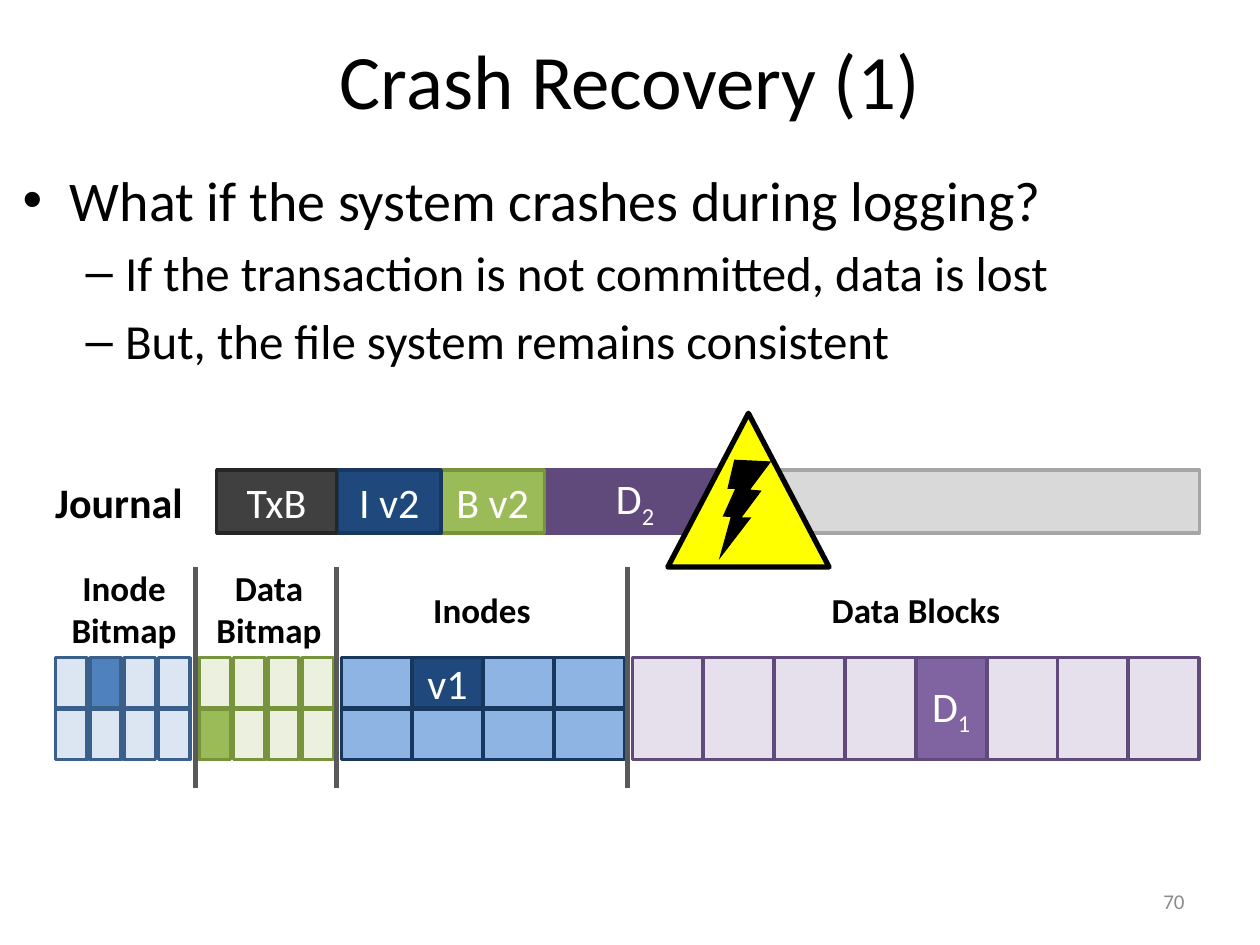
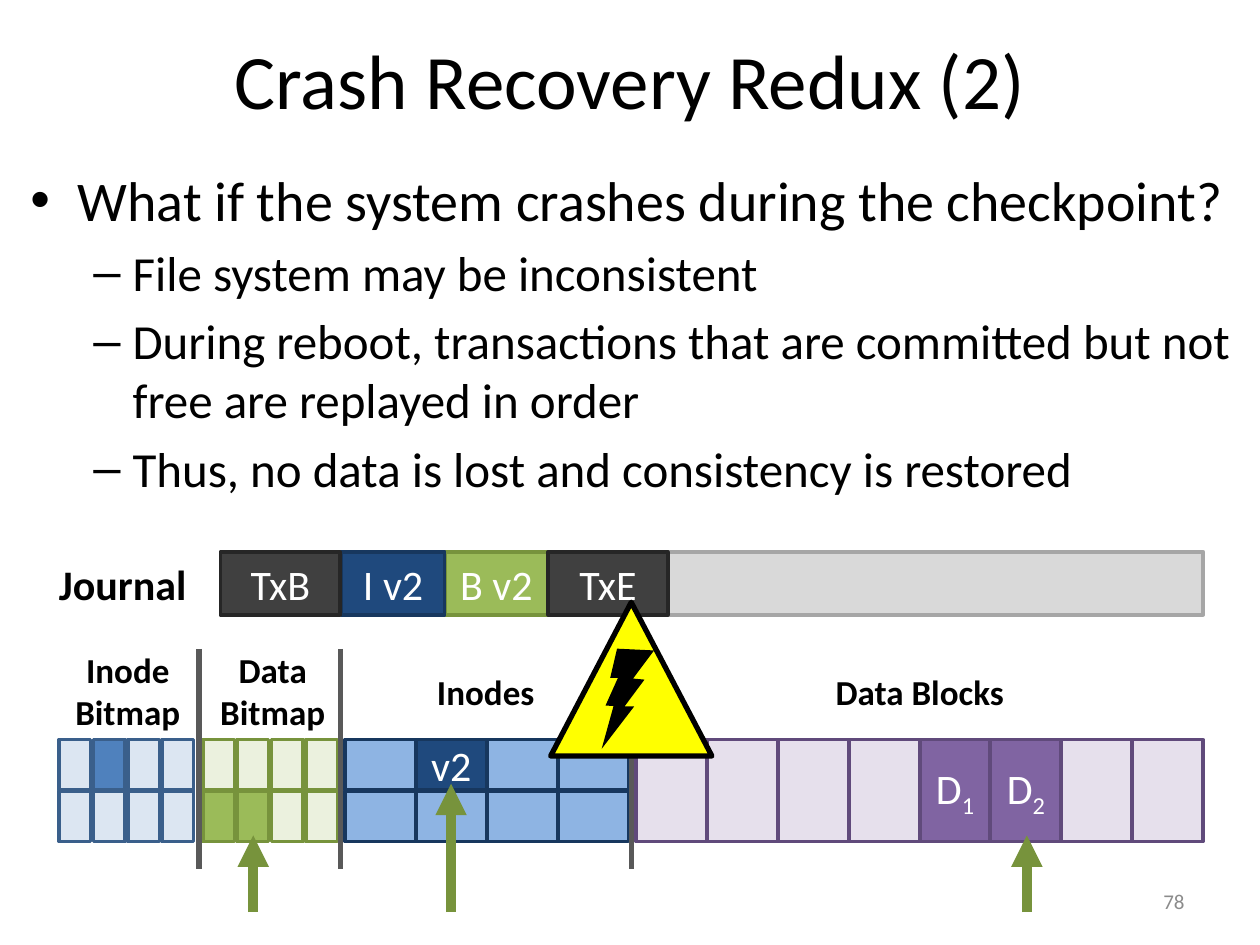
"""Build two slides on crash recovery in a journaling file system."""
import lxml.etree
import pptx
import pptx.dml.color
import pptx.enum.shapes
import pptx.enum.text
import pptx.oxml.ns
import pptx.util

Inches = pptx.util.Inches
Pt = pptx.util.Pt
rgb = pptx.dml.color.RGBColor.from_string
qn = pptx.oxml.ns.qn
SHAPE = pptx.enum.shapes.MSO_SHAPE
ALIGN = pptx.enum.text.PP_ALIGN
ANCHOR = pptx.enum.text.MSO_ANCHOR
AUTO_SIZE = pptx.enum.text.MSO_AUTO_SIZE

FONT = "Calibri"
BLACK, WHITE, GREY, DIVIDER = "000000", "FFFFFF", "8B8B8B", "595959"
BLUE_LINE, NAVY_LINE, GREEN_LINE, PURPLE_LINE = "3A5F8B", "17375E", "77933C", "604A7B"
NAVY, GREEN = "1F497D", "9BBB59"
DARK = ("404040", "262626")


def format_text(text_frame, size, color, align, bold=False):
    """Format every run of a text frame alike."""
    for paragraph in text_frame.paragraphs:
        paragraph.alignment = align
        for run in paragraph.runs:
            run.font.name = FONT
            run.font.size = Pt(size)
            run.font.bold = bold
            run.font.color.rgb = rgb(color)


def add_box(shapes, kind, place, fill, line=None, line_width=2, label=""):
    """Add a filled shape; the part of the label after _ is a subscript."""
    shape = shapes.add_shape(kind, *map(Inches, place))
    shape.shadow.inherit = False
    shape.fill.solid()
    shape.fill.fore_color.rgb = rgb(fill)
    if line:
        shape.line.color.rgb = rgb(line)
        shape.line.width = Pt(line_width)
    else:
        shape.line.fill.background()
    if label:
        text_frame = shape.text_frame
        text_frame.vertical_anchor = ANCHOR.MIDDLE
        base, _, subscript = label.partition("_")
        text_frame.text = base
        if subscript:
            text_frame.paragraphs[0].add_run().text = subscript
        format_text(text_frame, 24, WHITE, ALIGN.CENTER)
        for run in text_frame.paragraphs[0].runs[1:]:
            run.font._element.set("baseline", "-25000")
    return shape


# name: left, span, columns, rows, cell width, cell height, fill, used fill, line
regions = {
    "inode bitmap": (0.44, 1.09, 4, 2, 0.25, 0.4, "DCE6F2", "4F81BD", BLUE_LINE),
    "data bitmap": (1.58, 1.09, 4, 2, 0.25, 0.4, "EBF1DE", GREEN, GREEN_LINE),
    "inodes": (2.71, 2.25, 4, 2, 0.56, 0.4, "8EB4E3", NAVY, NAVY_LINE),
    "data blocks": (5.02, 4.5, 8, 1, 0.56, 0.81, "E6E0EC", "8064A2", PURPLE_LINE),
}
region_labels = [
    ("Inode\nBitmap", 0.47, 4.45, 1.03, 0.77),
    ("Data\nBitmap", 1.62, 4.45, 1.03, 0.77),
    ("Inodes", 3.34, 4.62, 0.97, 0.43),
    ("Data Blocks", 6.5, 4.62, 1.54, 0.43),
]
dividers = [(x, 4.5, x, 6.25, DIVIDER, 3) for x in (1.55, 2.67, 4.98)]
shared_entries = [
    ("B v2", 3.5, 0.82, GREEN, GREEN_LINE),
    ("I v2", 2.68, 0.82, NAVY, NAVY_LINE),
    ("TxB", 1.72, 0.95, *DARK),
]

slides = [
    {
        "title": "Crash Recovery (1)",
        "number": "70",
        "body": (0.08, 1.26, 9.85, 1.98),
        "points": [
            "What if the system crashes during logging?",
            "If the transaction is not committed, data is lost",
            "But, the file system remains consistent",
        ],
        "shift": (0, 0),
        "entries": [("D_2", 4.32, 1.44, PURPLE_LINE, PURPLE_LINE)] + shared_entries,
        "used": {
            "inode bitmap": {(0, 1): ""},
            "data bitmap": {(1, 0): ""},
            "inodes": {(0, 1): "v1"},
            "data blocks": {(0, 4): "D_1"},
        },
        "arrows": [],
        "warning": (5.3, 3.28),
    },
    {
        "title": "Crash Recovery Redux (2)",
        "number": "78",
        "body": (0.14, 1.26, 9.76, 5.66),
        "points": [
            "What if the system crashes during the checkpoint?",
            "File system may be inconsistent",
            "During reboot, transactions that are committed but not free are replayed in order",
            "Thus, no data is lost and consistency is restored",
        ],
        "shift": (0.03, 0.65),
        "entries": shared_entries + [("TxE", 4.32, 0.95, *DARK)],
        "used": {
            "inode bitmap": {(0, 1): ""},
            "data bitmap": {(1, 0): "", (1, 1): ""},
            "inodes": {(0, 1): "v2"},
            "data blocks": {(0, 4): "D_1", (0, 5): "D_2"},
        },
        "arrows": [
            (x, 6.59, x, top, GREEN_LINE, 6)
            for x, top in ((3.55, 5.57), (1.98, 5.98), (8.12, 5.98))
        ],
        "warning": (4.37, 4.78),
    },
]

presentation = pptx.Presentation()
presentation.slide_width = Inches(10)
presentation.slide_height = Inches(7.5)

for content in slides:
    slide = presentation.slides.add_slide(presentation.slide_layouts[1])
    shapes = slide.shapes
    shift_x, shift_y = content["shift"]

    title, body = slide.placeholders
    for placeholder, place in ((title, (0.5, 0, 9, 1.25)), (body, content["body"])):
        placeholder.left, placeholder.top, placeholder.width, placeholder.height = map(Inches, place)
        placeholder.text_frame.auto_size = AUTO_SIZE.NONE
    title.text_frame.text = content["title"]
    title.text_frame.vertical_anchor = ANCHOR.MIDDLE
    format_text(title.text_frame, 44, BLACK, ALIGN.CENTER)

    body.text_frame.text = "\n".join(content["points"])
    format_text(body.text_frame, 28, BLACK, ALIGN.LEFT)
    question, *answers = body.text_frame.paragraphs
    question.space_before = Pt(0)
    question.runs[0].font.size = Pt(32)
    for paragraph in answers:
        paragraph.level = 1
        paragraph.space_before = Pt(5.6)

    number = shapes.add_textbox(Inches(7.17), Inches(6.95), Inches(2.33), Inches(0.4))
    number.text_frame.word_wrap = True
    number.text_frame.vertical_anchor = ANCHOR.MIDDLE
    number.text_frame.text = content["number"]
    format_text(number.text_frame, 12, GREY, ALIGN.RIGHT)

    journal_top = 3.73 + shift_y
    journal = shapes.add_textbox(*map(Inches, (0.34 + shift_x, journal_top, 1.3, 0.5)))
    journal.text_frame.word_wrap = True
    journal.text_frame.text = "Journal"
    format_text(journal.text_frame, 24, BLACK, ALIGN.LEFT, bold=True)

    add_box(shapes, SHAPE.RECTANGLE, (1.72 + shift_x, journal_top, 7.8, 0.5), "D9D9D9", "A6A6A6")
    for label, left, width, fill, line in content["entries"]:
        place = (left + shift_x, journal_top, width, 0.5)
        add_box(shapes, SHAPE.RECTANGLE, place, fill, line, label=label)

    for name, region in regions.items():
        left, span, columns, rows, width, height, fill, used_fill, line = region
        used = content["used"][name]
        for row in range(rows):
            for column in range(columns):
                cell = (row, column)
                x = left + shift_x + column * span / columns
                y = 5.22 + shift_y + row * 0.41
                cell_fill = used_fill if cell in used else fill
                add_box(shapes, SHAPE.RECTANGLE, (x, y, width, height), cell_fill, line,
                        label=used.get(cell, ""))

    for label, left, top, width, height in region_labels:
        place = (left + shift_x, top + shift_y, width, height)
        textbox = shapes.add_textbox(*map(Inches, place))
        textbox.text_frame.word_wrap = True
        textbox.text_frame.margin_left = textbox.text_frame.margin_right = 0
        textbox.text_frame.text = label
        format_text(textbox.text_frame, 20, BLACK, ALIGN.CENTER, bold=True)

    for line in dividers + content["arrows"]:
        start_x, start_y, end_x, end_y, color, width = line
        connector = shapes.add_connector(
            pptx.enum.shapes.MSO_CONNECTOR.STRAIGHT,
            Inches(start_x + shift_x), Inches(start_y + shift_y),
            Inches(end_x + shift_x), Inches(end_y + shift_y))
        connector.line.color.rgb = rgb(color)
        connector.line.width = Pt(width)
        properties = connector._element.spPr
        if line in content["arrows"]:
            arrowhead = lxml.etree.SubElement(properties.find(qn("a:ln")), qn("a:tailEnd"))
            arrowhead.set("type", "triangle")
        lxml.etree.SubElement(properties, qn("a:effectLst"))

    left, top = content["warning"]
    warning = shapes.add_group_shape()
    add_box(warning.shapes, SHAPE.ISOSCELES_TRIANGLE, (left, top, 1.28, 1.22), "FFFF00", BLACK, 3)
    bolt = add_box(warning.shapes, SHAPE.LIGHTNING_BOLT, (left + 0.25, top + 0.37, 0.68, 0.69), BLACK)
    bolt.rotation = 337.8
    bolt._element.spPr.find(qn("a:xfrm")).set("flipH", "1")

presentation.save("out.pptx")
